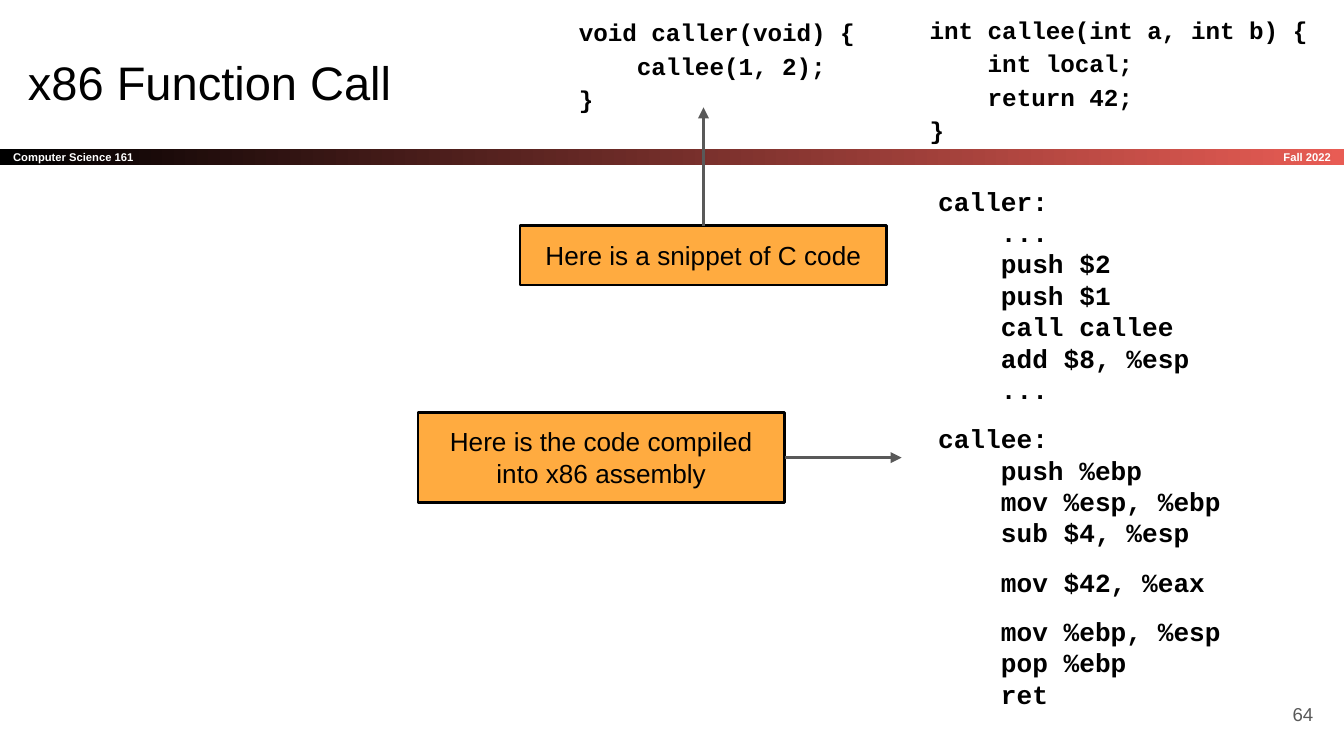
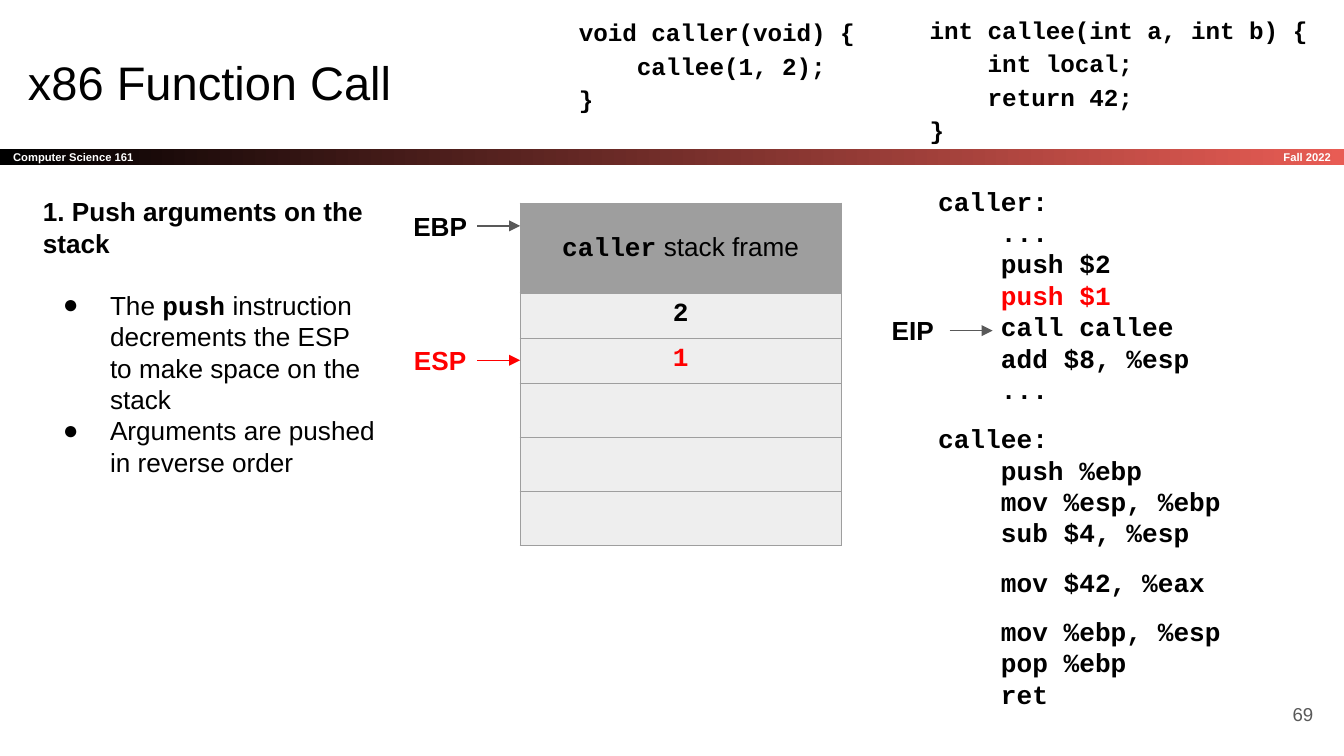
from lxml import etree
from pptx import Presentation
from pptx import util as u
from pptx.dml.color import RGBColor
from pptx.enum import shapes, text
from pptx.oxml import ns

Cm, Pt = u.Cm, u.Pt
ALIGN, ANCHOR = text.PP_ALIGN, text.MSO_ANCHOR

# Shared look
SANS, MONO = "Arial", "Courier New"
BLACK, WHITE, RED, GREY = "000000", "FFFFFF", "FF0000", "595959"
BAND_END, ORANGE = "E85C54", "FFAB40"
FRAME_GREY, CELL_GREY = "9E9E9E", "EEEEEE"
WIDE, NARROW = 0.25, 0.13  # text insets in cm

CALLER_C = "void caller(void) {\v    callee(1, 2);\v}"
CALLEE_C = "int callee(int a, int b) {\v    int local;\v    return 42;\v}"
# Blocks of assembly, set apart by a small gap
ASSEMBLY = [
    ["caller:", "    ...", "    push $2", "    push $1", "    call callee",
     "    add $8, %esp", "    ..."],
    ["callee:", "    push %ebp", "    mov %esp, %ebp", "    sub $4, %esp"],
    ["    mov $42, %eax"],
    ["    mov %ebp, %esp", "    pop %ebp", "    ret"],
]


def rgb(value):
    return RGBColor.from_string(value)


def style(font, size, color=BLACK, name=SANS, bold=False):
    font.size, font.name, font.bold = Pt(size), name, bold
    font.color.rgb = rgb(color)


def add_runs(p, parts, size=14):
    """Fill a paragraph with (text, font name, bold) parts."""
    for words, name, bold in parts:
        r = p.add_run()
        r.text = words
        style(r.font, size, name=name, bold=bold)


def set_frame(tf, inset=WIDE, anchor=ANCHOR.TOP):
    tf.word_wrap = True
    tf.vertical_anchor = anchor
    tf.margin_left = tf.margin_right = Cm(inset)
    tf.margin_top = tf.margin_bottom = Cm(inset)


def write(p, words, align=None, **look):
    p.text = words
    p.alignment = align
    for r in p.runs:
        style(r.font, **look)


def add_text(s, box, words="", align=None, inset=WIDE, anchor=ANCHOR.TOP, **look):
    sp = s.shapes.add_textbox(*map(Cm, box))
    set_frame(sp.text_frame, inset, anchor)
    if words:
        write(sp.text_frame.paragraphs[0], words, align, **look)
    return sp


def add_rect(s, box):
    sp = s.shapes.add_shape(shapes.MSO_SHAPE.RECTANGLE, *map(Cm, box))
    sp.shadow.inherit = False
    return sp


def add_arrow(s, start, side, end, color=GREY, width=0.75):
    """Arrow from the middle of a side of a shape to a point."""
    x, y = map(Cm, end)
    c = s.shapes.add_connector(shapes.MSO_CONNECTOR.STRAIGHT, x, y, x, y)
    c.begin_connect(start, side)
    # Keep the arrow exactly level or upright
    if side in (0, 2):
        c.end_x = c.begin_x
    else:
        c.end_y = c.begin_y
    c.line.color.rgb = rgb(color)
    c.line.width = Pt(width)
    etree.SubElement(c.line._get_or_add_ln(), ns.qn("a:tailEnd"), type="triangle")
    etree.SubElement(c._element.spPr, ns.qn("a:effectLst"))


def add_band(s):
    band = add_rect(s, (0, 2.82, 25.4, 0.3))
    band.line.fill.background()
    band.fill.gradient()
    band.fill.gradient_angle = 0
    for stop, color, place in zip(band.fill.gradient_stops, (BLACK, BAND_END), (0, 1)):
        stop.color.rgb, stop.position = rgb(color), place
    set_frame(band.text_frame, anchor=ANCHOR.MIDDLE)
    look = dict(size=6, color=WHITE, bold=True)
    write(band.text_frame.paragraphs[0], "Computer Science 161", ALIGN.LEFT, **look)
    add_text(s, (21.18, 2.82, 4.22, 0.3), "Fall 2022", ALIGN.RIGHT,
             anchor=ANCHOR.MIDDLE, **look)


def add_c_code(s, box, code):
    sp = add_text(s, box, code, size=13, name=MONO, bold=True)
    p = sp.text_frame.paragraphs[0]
    p.line_spacing, p.space_after = 1.15, Pt(12)


def add_assembly(s, current=None):
    """Assembly listing, with the current line in red."""
    tf = add_text(s, (17.48, 3.25, 7.19, 10.8)).text_frame
    p = tf.paragraphs[0]
    for b, block in enumerate(ASSEMBLY):
        for i, line in enumerate(block):
            if b or i:
                p = tf.add_paragraph()
            if b and i == 0:
                p.space_before = Pt(9.6)
            color = RED if line.strip() == current else BLACK
            write(p, line, size=14, color=color, name=MONO, bold=True)


def add_base(prs, number, current=None):
    """Slide with everything that both slides share."""
    s = prs.slides.add_slide(prs.slide_layouts[6])
    add_band(s)
    add_text(s, (0.28, 0.76, 23.67, 1.6), "x86 Function Call", size=25.2)
    add_text(s, (23.55, 12.95, 1.52, 1.09), str(number), ALIGN.RIGHT,
             anchor=ANCHOR.MIDDLE, size=10, color=GREY)
    add_assembly(s, current)
    add_c_code(s, (10.69, 0, 6.35, 2.39), CALLER_C)
    add_c_code(s, (17.32, -0.05, 7.75, 3), CALLEE_C)
    return s


def add_callout(s, box, words, side, target):
    sp = add_rect(s, box)
    sp.fill.solid()
    sp.fill.fore_color.rgb = rgb(ORANGE)
    sp.line.color.rgb = rgb(BLACK)
    sp.line.width = Pt(1.5)
    set_frame(sp.text_frame)
    write(sp.text_frame.paragraphs[0], words, ALIGN.CENTER, size=14)
    add_arrow(s, sp, side, target, width=1.5)


def add_register(s, left, top, name, color=BLACK, arrow=GREY):
    """Register label with a short arrow to what it points at."""
    sp = add_text(s, (left, top, 1.4, 0.86), name, ALIGN.CENTER, NARROW,
                  size=14, color=color, bold=True)
    add_arrow(s, sp, 3, (left + 2.21, top + 0.43), arrow)


def set_borders(cell, color, width):
    tcPr = cell._tc.get_or_add_tcPr()
    for i, side in enumerate(("lnL", "lnR", "lnT", "lnB")):
        ln = etree.Element(ns.qn(f"a:{side}"), w=str(Pt(width)))
        fill = etree.SubElement(ln, ns.qn("a:solidFill"))
        etree.SubElement(fill, ns.qn("a:srgbClr"), val=color)
        tcPr.insert(i, ln)


def add_stack(s, values, empty):
    """Stack table: the caller's frame, pushed values and free rows."""
    heights = [1.7] + [0.81] * len(values) + [0.96] * empty
    table = s.shapes.add_table(len(heights), 1, Cm(9.83), Cm(3.84),
                               Cm(6.07), Cm(sum(heights))).table
    table.first_row = table.horz_banding = False
    table.columns[0].width = Cm(6.07)
    for i, height in enumerate(heights):
        table.rows[i].height = Cm(height)
        cell = table.cell(i, 0)
        cell.margin_left = cell.margin_right = Cm(NARROW)
        cell.margin_top = cell.margin_bottom = Cm(NARROW)
        cell.fill.solid()
        cell.fill.fore_color.rgb = rgb(CELL_GREY if i else FRAME_GREY)
        set_borders(cell, FRAME_GREY, 0.75)
    head = table.cell(0, 0)
    head.vertical_anchor = ANCHOR.MIDDLE
    p = head.text_frame.paragraphs[0]
    p.alignment = ALIGN.CENTER
    add_runs(p, [("caller", MONO, True), (" stack frame", SANS, False)])
    for i, (value, color) in enumerate(values, 1):
        write(table.cell(i, 0).text_frame.paragraphs[0], value, ALIGN.CENTER,
              size=14, color=color, name=MONO, bold=True)


def add_step(s, heading, bullets):
    tf = add_text(s, (0.56, 3.45, 6.81, 10.46), heading, size=14, bold=True).text_frame
    for i, parts in enumerate(bullets):
        p = tf.add_paragraph()
        if i == 0:
            p.space_before = Pt(16.5)
        pPr = p._p.get_or_add_pPr()
        pPr.set("marL", str(Cm(1.27)))
        pPr.set("indent", str(Cm(-0.89)))
        color = etree.SubElement(pPr, ns.qn("a:buClr"))
        etree.SubElement(color, ns.qn("a:srgbClr"), val=BLACK)
        etree.SubElement(pPr, ns.qn("a:buFont"), typeface=SANS)
        etree.SubElement(pPr, ns.qn("a:buChar"), char="●")
        add_runs(p, parts)


def main():
    prs = Presentation()
    prs.slide_width, prs.slide_height = Cm(25.4), Cm(14.29)

    # Slide 1: the C code and its assembly
    s = add_base(prs, 64)
    add_callout(s, (9.83, 4.27, 6.93, 1.12), "Here is a snippet of C code",
                0, (13.3, 2.03))
    add_callout(s, (7.9, 7.8, 6.93, 1.7),
                "Here is the code compiled into x86 assembly", 3, (17.04, 8.65))

    # Slide 2: pushing the arguments
    s = add_base(prs, 69, current="push $1")
    add_stack(s, [("2", BLACK), ("1", RED)], empty=3)
    add_step(s, "1. Push arguments on the stack", [
        [("The ", SANS, False), ("push", MONO, True),
         (" instruction decrements the ESP to make space on the stack", SANS, False)],
        [("Arguments are pushed in reverse order", SANS, False)],
    ])
    add_register(s, 7.62, 3.84, "EBP")
    add_register(s, 7.62, 6.38, "ESP", RED, RED)
    add_register(s, 16.55, 5.82, "EIP")

    prs.save("out.pptx")


if __name__ == "__main__":
    main()
